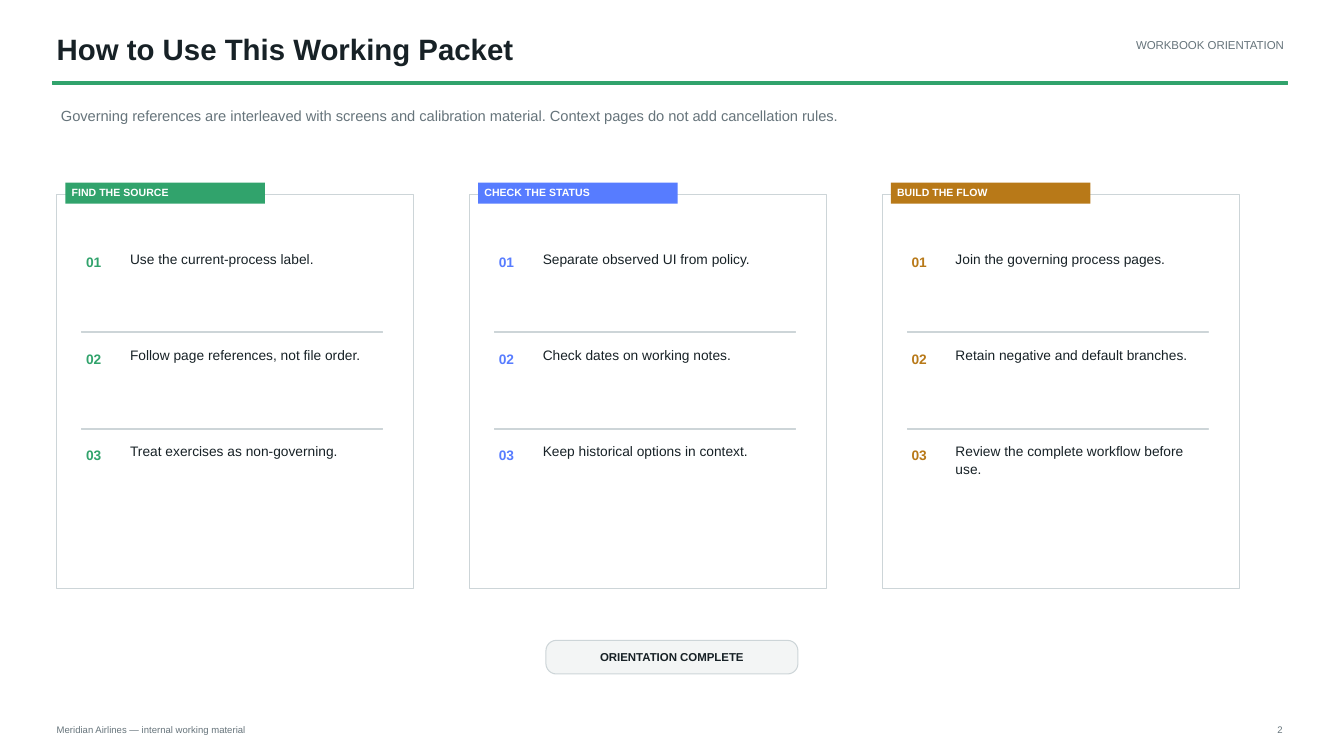
import dataclasses
import typing

import pptx
import pptx.dml.color
import pptx.enum.shapes
import pptx.enum.text
import pptx.util

Pt = pptx.util.Pt
Shape = pptx.enum.shapes.MSO_SHAPE
Align = pptx.enum.text.PP_ALIGN
Anchor = pptx.enum.text.MSO_ANCHOR


@dataclasses.dataclass(frozen=True)
class Theme:
    font: str = "Arial"
    ink: str = "172126"
    muted: str = "66747B"
    edge: str = "CDD5D8"
    white: str = "FFFFFF"
    pale: str = "F3F5F5"
    green: str = "31A36C"
    blue: str = "577CFF"
    amber: str = "B87918"
    title: float = 21
    lead: float = 10.5
    body: float = 9.8
    label: float = 8.2
    tag: float = 7.5
    foot: float = 6.8


class Box(typing.NamedTuple):
    left: float
    top: float
    width: float
    height: float


class Style(typing.NamedTuple):
    size: float
    color: str
    bold: bool = False
    align: Align = Align.LEFT
    anchor: Anchor = Anchor.TOP
    pads: tuple[float, float] = (3, 1.5)
    pitch: float | None = None


@dataclasses.dataclass(frozen=True)
class Card:
    head: str
    color: str
    steps: tuple[str, ...]


THEME = Theme()
EDGE, STEP = 40.5, 294.8
ROW = 68.9
CARDS = (
    Card("FIND THE SOURCE", THEME.green, (
        "Use the current-process label.",
        "Follow page references, not file order.",
        "Treat exercises as non-governing.")),
    Card("CHECK THE STATUS", THEME.blue, (
        "Separate observed UI from policy.",
        "Check dates on working notes.",
        "Keep historical options in context.")),
    Card("BUILD THE FLOW", THEME.amber, (
        "Join the governing process pages.",
        "Retain negative and default branches.",
        "Review the complete workflow before use.")),
)


def rgb(code: str) -> pptx.dml.color.RGBColor:
    return pptx.dml.color.RGBColor.from_string(code)


def write(shape, text: str, style: Style) -> None:
    frame = shape.text_frame
    frame.text = text
    frame.word_wrap = True
    frame.vertical_anchor = style.anchor
    side, end = style.pads
    frame.margin_left = frame.margin_right = Pt(side)
    frame.margin_top = frame.margin_bottom = Pt(end)
    line = frame.paragraphs[0]
    line.alignment = style.align
    if style.pitch:
        line.line_spacing = style.pitch
    font = line.runs[0].font
    font.name = THEME.font
    font.size = Pt(style.size)
    font.bold = style.bold
    font.color.rgb = rgb(style.color)


def label(slide, box: Box, text: str, style: Style) -> None:
    write(slide.shapes.add_textbox(*map(Pt, box)), text, style)


def block(slide, box: Box, fill: str | None, edge: str | None = None,
          weight: float = 0, kind: Shape = Shape.RECTANGLE):
    shape = slide.shapes.add_shape(kind, *map(Pt, box))
    shape.shadow.inherit = False
    if fill:
        shape.fill.solid()
        shape.fill.fore_color.rgb = rgb(fill)
    else:
        shape.fill.background()
    if edge:
        shape.line.color.rgb = rgb(edge)
        shape.line.width = Pt(weight)
    else:
        shape.line.fill.background()
    return shape


def panel(slide, card: Card, left: float) -> None:
    block(slide, Box(left, 139.2, 255, 281.2), None, THEME.edge, 0.75)
    tag = block(slide, Box(left + 6.2, 130.5, 142.6, 15), card.color)
    write(tag, card.head, Style(THEME.tag, THEME.white, True, pads=(4.5, 2)))
    mark = Style(THEME.body, card.color, True)
    body = Style(THEME.body, THEME.ink, pitch=1.08)
    for row, step in enumerate(card.steps):
        drop = row * ROW
        if row:
            rule = Box(left + 18, 168 + drop, 214.8, 0.75)
            block(slide, rule, THEME.edge, THEME.edge)
        label(slide, Box(left + 18, 180 + drop, 25, 21), f"{row + 1:02}", mark)
        label(slide, Box(left + 49.4, 176.4 + drop, 183.6, 50), step, body)


def main() -> None:
    """Build the working packet orientation slide."""
    deck = pptx.Presentation()
    deck.slide_width, deck.slide_height = Pt(960), Pt(540)
    slide = deck.slides.add_slide(deck.slide_layouts[6])

    label(slide, Box(37.5, 20.9, 637, 32), "How to Use This Working Packet",
          Style(THEME.title, THEME.ink, True))
    label(slide, Box(676.8, 25.9, 243.4, 22), "WORKBOOK ORIENTATION",
          Style(THEME.label, THEME.muted, align=Align.RIGHT))
    block(slide, Box(37.5, 58.3, 882, 2.4), THEME.green, THEME.green)
    label(slide, Box(40.5, 75, 840, 32),
          "Governing references are interleaved with screens and calibration "
          "material. Context pages do not add cancellation rules.",
          Style(THEME.lead, THEME.muted))

    for col, card in enumerate(CARDS):
        panel(slide, card, EDGE + col * STEP)

    pill = block(slide, Box(390, 457.4, 180, 24), THEME.pale, THEME.edge, 0.75,
                 Shape.ROUNDED_RECTANGLE)
    pill.adjustments[0] = 0.31
    write(pill, "ORIENTATION COMPLETE",
          Style(THEME.label, THEME.ink, True, Align.CENTER, Anchor.MIDDLE,
                (4.5, 2), 0.96))

    label(slide, Box(37.5, 515.6, 225, 13.5),
          "Meridian Airlines — internal working material",
          Style(THEME.foot, THEME.muted))
    label(slide, Box(881.6, 515.6, 37.5, 13.5), "2",
          Style(THEME.foot, THEME.muted, align=Align.RIGHT))
    deck.save("out.pptx")


if __name__ == "__main__":
    main()
